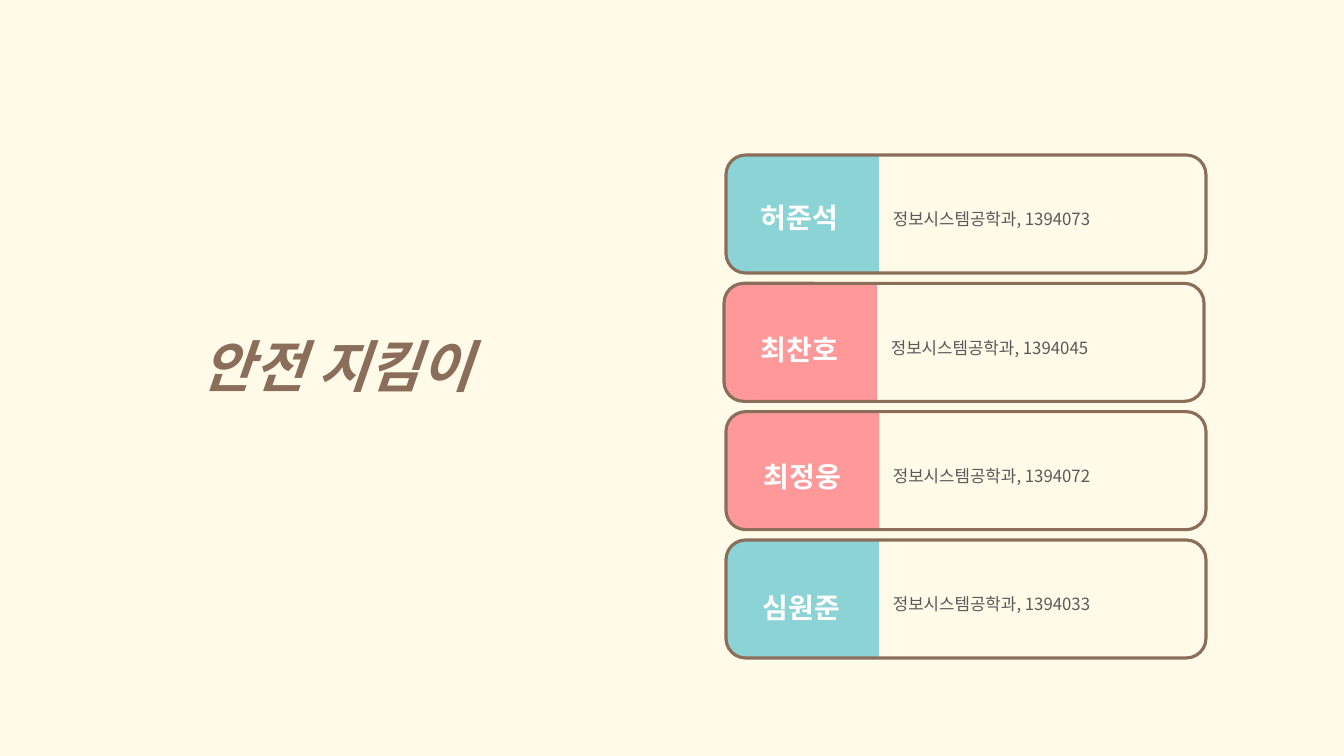
import pptx
import pptx.dml.color
import pptx.enum.shapes
import pptx.enum.text
import pptx.oxml.ns
import pptx.util
import lxml.etree
from dataclasses import dataclass

SHAPE = pptx.enum.shapes.MSO_SHAPE
ANCHOR = pptx.enum.text.MSO_ANCHOR
FIT = pptx.enum.text.MSO_AUTO_SIZE


@dataclass(frozen=True)
class Theme:
    font: str = "Noto Sans CJK KR"
    cream: str = "FFFBE8"
    brown: str = "8A6E5B"
    teal: str = "8CD3D5"
    pink: str = "FF9999"
    white: str = "FFFFFF"
    grey: str = "595959"
    title: int = 40
    name: int = 20
    detail: int = 12
    border: float = 2.25


T = Theme()
TITLE_BOX = (192, 293, 532, 99)
MEMBERS_BOX = (726, 155, 480, 503)
CARD_H = 118
TAB_W = 153

# name, student number, tab colour, card shift, name offset inside the card
MEMBERS = [
    ("허준석", "1394073", T.teal, 0, (25, 24)),
    ("최찬호", "1394045", T.pink, -2, (27, 27)),
    ("최정웅", "1394072", T.pink, 0, (28, 26)),
    ("심원준", "1394033", T.teal, 0, (27, 29)),
]


def px(n):
    return pptx.util.Emu(round(n * 914400 / 100.8))


def rgb(value):
    return pptx.dml.color.RGBColor.from_string(value)


def write(sp, text, size, color, **formats):
    p = sp.text_frame.paragraphs[0]
    p.alignment = pptx.enum.text.PP_ALIGN.LEFT
    p.line_spacing = 1.5
    r = p.add_run()
    r.text = text
    r.font.color.rgb = rgb(color)
    formats.update(name=T.font, size=pptx.util.Pt(size))
    for key, value in formats.items():
        setattr(r.font, key, value)
    # Korean glyphs take the East Asian typeface
    ea = lxml.etree.SubElement(r.font._element, pptx.oxml.ns.qn("a:ea"))
    ea.set("typeface", T.font)
    return p


def add_text(shapes, box, text, size, color, wrap, **formats):
    sp = shapes.add_textbox(*map(px, box))
    tf = sp.text_frame
    tf.word_wrap = wrap
    tf.auto_size = FIT.SHAPE_TO_FIT_TEXT
    write(sp, text, size, color, **formats)


def add_title(s, box):
    add_text(s.shapes, box, "안전 지킴이", T.title, T.brown, True, bold=True, italic=True)


def add_card(s, box, name, number, color, name_offset):
    x, y, w, h = box
    group = s.shapes.add_group_shape()

    # Coloured tab: an upright shape turned so its round corners face left
    tab = group.shapes.add_shape(
        SHAPE.ROUND_2_SAME_RECTANGLE,
        *map(px, (x + (TAB_W - h) / 2, y + (h - TAB_W) / 2, h, TAB_W)))
    tab.shadow.inherit = False
    tab.adjustments[0] = 0.17
    tab.adjustments[1] = 0
    tab.rotation = 270
    tab._element.spPr.xfrm.set("flipH", "1")
    tab.fill.solid()
    tab.fill.fore_color.rgb = rgb(color)
    tab.line.fill.background()

    # Outline with department and number
    frame = group.shapes.add_shape(SHAPE.ROUNDED_RECTANGLE, *map(px, box))
    frame.shadow.inherit = False
    frame.fill.background()
    frame.line.color.rgb = rgb(T.brown)
    frame.line.width = pptx.util.Pt(T.border)
    frame.text_frame.word_wrap = True
    frame.text_frame.vertical_anchor = ANCHOR.MIDDLE
    p = write(frame, f"정보시스템공학과, {number}", T.detail, T.grey)
    p.level = 3
    pPr = p._p.get_or_add_pPr()
    pPr.set("marL", str(pptx.util.Inches(1.5)))
    pPr.set("indent", "0")

    # Name on the tab
    dx, dy = name_offset
    add_text(s.shapes, (x + dx, y + dy, 105, 61), name, T.name, T.white, False, bold=True)


def add_members(s, box):
    x, y, w, h = box
    pitch = (h - CARD_H) / (len(MEMBERS) - 1)
    for i, (name, number, color, shift, offset) in enumerate(MEMBERS):
        card = (x + shift, y + i * pitch, w, CARD_H)
        add_card(s, card, name, number, color, offset)


def main():
    prs = pptx.Presentation()
    prs.slide_width, prs.slide_height = px(1344), px(756)
    s = prs.slides.add_slide(prs.slide_layouts[6])
    s.background.fill.solid()
    s.background.fill.fore_color.rgb = rgb(T.cream)
    add_title(s, TITLE_BOX)
    add_members(s, MEMBERS_BOX)
    prs.save("out.pptx")


if __name__ == "__main__":
    main()
